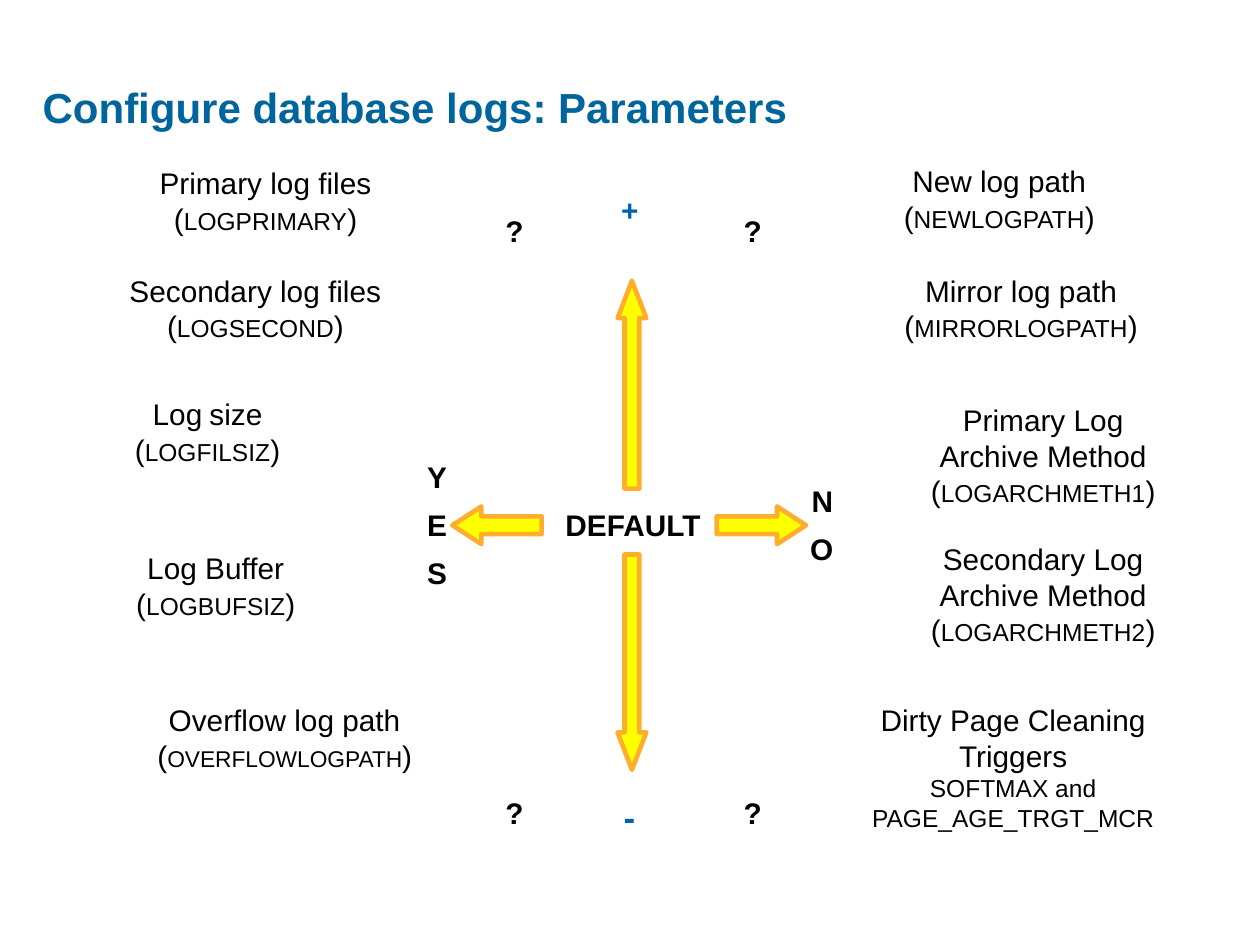
from dataclasses import dataclass

from pptx import Presentation
from pptx.dml.color import RGBColor
from pptx.enum.shapes import MSO_SHAPE
from pptx.enum.text import MSO_ANCHOR, MSO_AUTO_SIZE, PP_ALIGN
from pptx.util import Cm, Pt


@dataclass(frozen=True)
class Theme:
    font: str = "Arial"
    space_font: str = "Times New Roman"
    title_color: RGBColor = RGBColor(0x00, 0x64, 0x9D)
    text_color: RGBColor = RGBColor(0x00, 0x00, 0x00)
    sign_color: RGBColor = RGBColor(0x00, 0x63, 0xB0)
    arrow_fill: RGBColor = RGBColor(0xFF, 0xFF, 0x00)
    arrow_line: RGBColor = RGBColor(0xFF, 0xAD, 0x2C)
    title_size: float = 24
    body_size: float = 17
    minus_size: float = 20
    space_size: float = 16
    name_size: float = 14
    long_name_size: float = 13


theme = Theme()


def write_text(text_frame, lines, *, color=theme.text_color, bold=False,
               align=PP_ALIGN.LEFT, wrap=False, insets=(0, 0),
               anchor=MSO_ANCHOR.TOP, auto_size=MSO_AUTO_SIZE.NONE):
    """Write lines, each a list of (text, size) or (text, size, font) runs."""
    text_frame.word_wrap = wrap
    text_frame.auto_size = auto_size
    text_frame.vertical_anchor = anchor
    text_frame.margin_left = text_frame.margin_right = Cm(insets[0])
    text_frame.margin_top = text_frame.margin_bottom = Cm(insets[1])
    paragraph = text_frame.paragraphs[0]
    paragraph.alignment = align
    for index, line in enumerate(lines):
        if index:
            paragraph.add_line_break()
        for text, size, *font in line:
            run = paragraph.add_run()
            run.text = text
            run.font.name = font[0] if font else theme.font
            run.font.size = Pt(size)
            run.font.bold = bold
            run.font.color.rgb = color


presentation = Presentation()
presentation.slide_width = Cm(25.4)
presentation.slide_height = Cm(19.05)
slide = presentation.slides.add_slide(presentation.slide_layouts[5])
shapes = slide.shapes

title = shapes.title
title.left, title.top, title.width, title.height = Cm(0.61), Cm(1.27), Cm(24.54), Cm(1.78)
write_text(title.text_frame, [[("Configure database logs: Parameters", theme.title_size)]],
           color=theme.title_color, bold=True, wrap=True, insets=(0.25, 0.13),
           anchor=MSO_ANCHOR.MIDDLE)

# Arrows: preset, left, top, width, height, shaft ratio, head ratio
arrows = [
    (MSO_SHAPE.UP_ARROW, 12.45, 5.66, 0.58, 4.19, 0.52, 1.3),
    (MSO_SHAPE.LEFT_ARROW, 9.12, 10.21, 1.8, 0.76, 0.47, 0.77),
    (MSO_SHAPE.RIGHT_ARROW, 14.45, 10.21, 1.8, 0.76, 0.47, 0.77),
    (MSO_SHAPE.DOWN_ARROW, 12.45, 11.18, 0.58, 4.34, 0.52, 1.3),
]
for preset, left, top, width, height, shaft, head in arrows:
    arrow = shapes.add_shape(preset, Cm(left), Cm(top), Cm(width), Cm(height))
    arrow.adjustments[0] = shaft
    arrow.adjustments[1] = head
    arrow.shadow.inherit = False
    arrow.fill.solid()
    arrow.fill.fore_color.rgb = theme.arrow_fill
    arrow.line.color.rgb = theme.arrow_line
    arrow.line.width = Pt(2.64)

# Bold signs around the arrows: text, left, top, width, colour, size
signs = [
    ("DEFAULT", 11.4, 10.21, 2.82, theme.text_color, theme.body_size),
    ("+", 12.52, 3.86, 0.36, theme.sign_color, theme.body_size),
    ("-", 12.57, 16.03, 0.23, theme.sign_color, theme.minus_size),
    ("N", 16.36, 9.73, 0.43, theme.text_color, theme.body_size),
    ("O", 16.33, 10.69, 0.48, theme.text_color, theme.body_size),
]
for index, letter in enumerate("YES"):
    signs.append((letter, 8.61, 9.25 + 0.97 * index, 0.41, theme.text_color, theme.body_size))
for left in (10.19, 14.99):
    for top in (4.29, 16.03):
        signs.append(("?", left, top, 0.38, theme.text_color, theme.body_size))
for text, left, top, width, color, size in signs:
    box = shapes.add_textbox(Cm(left), Cm(top), Cm(width), Cm(size * 0.04))
    write_text(box.text_frame, [[(text, size)]], color=color, bold=True)

# Parameters: heading lines, parameter name, name size, left, top, width
padded, tight = (0.38, 0.18), (0, 0)
parameters = [
    (["Primary log files"], "LOGPRIMARY", theme.name_size, 2.79, 3.15, 5.13),
    (["Secondary log files"], "LOGSECOND", theme.name_size, 2.19, 5.31, 5.92),
    (["Log size"], "LOGFILSIZ", theme.name_size, 2.18, 7.8, 4.01),
    (["Log Buffer"], "LOGBUFSIZ", theme.name_size, 2.18, 10.9, 4.34),
    (["Overflow log path"], "OVERFLOWLOGPATH", theme.long_name_size, 2.49, 13.97, 6.5),
    (["New log path"], "NEWLOGPATH", theme.name_size, 17.81, 3.1, 4.67),
    (["Mirror log path"], "MIRRORLOGPATH", theme.name_size, 17.65, 5.31, 5.87),
    (["Primary Log", "Archive Method"], "LOGARCHMETH1", theme.name_size, 18.72, 8.1, 4.62),
    (["Secondary Log", "Archive Method"], "LOGARCHMETH2", theme.name_size, 18.72, 10.9, 4.62),
]
for headings, name, name_size, left, top, width in parameters:
    lines = [[(heading, theme.body_size)] for heading in headings]
    if headings == ["Log size"]:
        lines = [[("Log", theme.body_size), (" ", theme.space_size, theme.space_font),
                  ("size", theme.body_size)]]
    lines.append([("(", theme.body_size), (name, name_size), (")", theme.body_size)])
    is_single = len(headings) == 1
    box = shapes.add_textbox(Cm(left), Cm(top), Cm(width), Cm(1.8 if is_single else 2.16))
    write_text(box.text_frame, lines, align=PP_ALIGN.CENTER,
               insets=padded if is_single else tight,
               auto_size=MSO_AUTO_SIZE.SHAPE_TO_FIT_TEXT)

triggers = shapes.add_textbox(Cm(17.02), Cm(13.97), Cm(6.81), Cm(3))
write_text(triggers.text_frame,
           [[("Dirty Page Cleaning Triggers", theme.body_size)],
            [("SOFTMAX and PAGE_AGE_TRGT_MCR", theme.name_size)]],
           align=PP_ALIGN.CENTER, wrap=True, insets=padded)

presentation.save("out.pptx")
